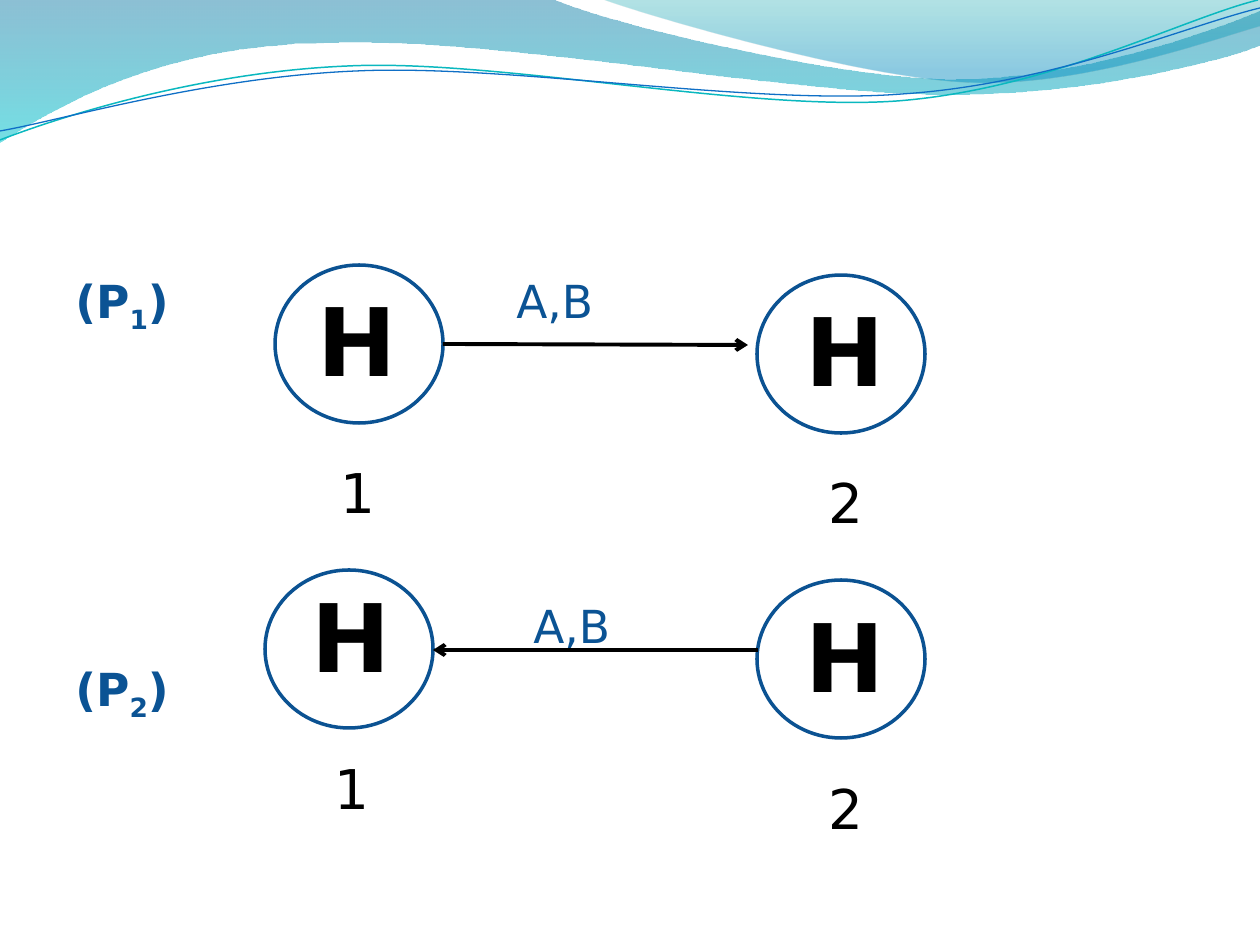
from lxml.etree import SubElement
from pptx import Presentation
from pptx.dml.color import RGBColor
from pptx.enum.shapes import MSO_CONNECTOR as Connector, MSO_SHAPE as Shape
from pptx.enum.text import PP_ALIGN as Align
from pptx.oxml.ns import qn
from pptx.util import Emu, Pt

PX = 914400 / 126
COLORS = {
    "text": "0B5394", "outline": "0B5292", "black": "000000",
    "teal line": "0AB8BF", "blue line": "0F6FC6",
    "deep blue": "0074A1", "turquoise": "00C6CF",
    "sea green": "00A1A9", "sky blue": "008BBF",
}
BODY = {"size": Pt(26), "color": "text"}
BOLD = {**BODY, "bold": True}
HOST = {"size": Pt(54), "color": "black", "bold": True}
NUMBER = {**HOST, "bold": False, "subscript": True}

# Outlines: a start point, then steps of one point (line) or three (curve).
BROAD_WAVE = [
    (0, 0), [(554, 0)],
    [(600, 21), (837, 79), (955, 79)], [(1075, 79), (1207, 33), (1260, 11)],
    [(1260, 45)],
    [(1239, 55), (1096, 96), (940, 94)], [(784, 94), (481, 35), (324, 43)],
    [(163, 45), (58, 105), (0, 142)],
]
RIGHT_WAVE = [
    (604, 0), [(641, 14), (859, 78), (969, 82)],
    [(1079, 87), (1211, 40), (1260, 26)], [(1260, 0)],
]
TEAL_CURVE = [
    (0, 140), [(60, 117), (199, 72), (349, 66)],
    [(498, 59), (747, 112), (898, 101)], [(1050, 89), (1182, 19), (1258, 0)],
]
BLUE_CURVE = [
    (0, 131), [(59, 121), (207, 77), (357, 71)],
    [(508, 64), (752, 106), (903, 94)], [(1053, 84), (1186, 26), (1260, 8)],
]


def px(*lengths):
    return [Emu(round(length * PX)) for length in lengths]


class SlideBuilder:
    """Holds the font and the current slide."""

    def __init__(self, slide, font="DejaVu Sans"):
        self.shapes = slide.shapes
        self.font = font

    def color(self, name):
        return RGBColor.from_string(COLORS[name])

    def stroke(self, shape, color, width):
        shape.line.color.rgb = self.color(color)
        shape.line.width = Pt(width)

    def freeform(self, outline, closed):
        """Draw an outline, joining each three-point step into one Bézier curve."""
        start, *steps = outline
        builder = self.shapes.build_freeform(*start, scale=PX)
        builder.add_line_segments([point for step in steps for point in step], close=closed)
        shape = builder.convert_to_shape()
        shape.shadow.inherit = False
        lines = iter(list(shape._element.iter(qn("a:lnTo"))))
        for step in steps:
            first, *others = [next(lines) for _ in step]
            if others:
                first.tag = qn("a:cubicBezTo")
            for line in others:
                first.append(line[0])
                line.getparent().remove(line)
        return shape

    def wave(self, outline, stops):
        """Fill an outline downwards; stops are (position, color, opacity %)."""
        shape = self.freeform(outline, True)
        shape.line.fill.background()
        shape.fill.gradient()
        shape.fill.gradient_angle = 270
        for stop, (position, color, _) in zip(shape.fill.gradient_stops, stops):
            stop.position = position
            stop.color.rgb = self.color(color)
        for element, (_, _, opacity) in zip(shape._element.iter(qn("a:srgbClr")), stops):
            SubElement(element, qn("a:alpha"), val=str(opacity * 1000))

    def curve(self, outline, color, width):
        shape = self.freeform(outline, False)
        shape.fill.background()
        self.stroke(shape, color, width)

    def circle(self, left, top):
        shape = self.shapes.add_shape(Shape.OVAL, *px(left, top, 168, 158))
        shape.shadow.inherit = False
        shape.fill.background()
        self.stroke(shape, "outline", 2)

    def arrow(self, *ends):
        connector = self.shapes.add_connector(Connector.STRAIGHT, *px(*ends))
        self.stroke(connector, "black", 2.25)
        properties = connector._element.spPr
        SubElement(properties.find(qn("a:ln")), qn("a:tailEnd"), type="arrow")
        SubElement(properties, qn("a:effectLst"))

    def text(self, box, paragraphs):
        """Add paragraphs, each a dict of formats and a list of (text, style)."""
        frame = self.shapes.add_textbox(*px(*box)).text_frame
        frame.word_wrap = True
        for index, (formats, runs) in enumerate(paragraphs):
            paragraph = frame.add_paragraph() if index else frame.paragraphs[0]
            for name, value in formats.items():
                setattr(paragraph, name, value)
            for content, style in runs:
                self.run(paragraph, content, style)
        return frame

    def run(self, paragraph, content, style):
        run = paragraph.add_run()
        run.text = content
        run.font.name = self.font
        run.font.color.rgb = self.color(style["color"])
        for name in ("size", "bold"):
            setattr(run.font, name, style.get(name))
        if style.get("subscript"):
            run._r.get_or_add_rPr().set("baseline", "-25000")

    def indent(self, paragraph, left=0, tab=None):
        properties = paragraph._p.get_or_add_pPr()
        properties.set("marL", str(px(left)[0]))
        if tab:
            tabs = SubElement(properties, qn("a:tabLst"))
            SubElement(tabs, qn("a:tab"), pos=str(px(tab)[0]), algn="l")


def label(number):
    return [("(P", BOLD), (number, {**BOLD, "subscript": True}), (")", BOLD)]


def main():
    presentation = Presentation()
    presentation.slide_width, presentation.slide_height = px(1260, 945)
    slide = presentation.slides.add_slide(presentation.slide_layouts[6])
    builder = SlideBuilder(slide)

    builder.wave(BROAD_WAVE, [(0, "deep blue", 45), (1, "turquoise", 55)])
    builder.wave(RIGHT_WAVE, [(0, "sea green", 30), (0.8, "sky blue", 45)])
    builder.curve(TEAL_CURVE, "teal line", 0.85)
    builder.curve(BLUE_CURVE, "blue line", 0.75)

    body = builder.text((63, 267, 1134, 605), [
        ({}, label("1") + [("\tA,B", BODY)]),
        ({"space_before": Pt(150)}, [("A,B", BODY)]),
        ({"space_before": Pt(5)}, label("2")),
    ])
    builder.indent(body.paragraphs[0], tab=441)
    builder.indent(body.paragraphs[1], left=458)

    for left, top in ((275, 265), (757, 275), (265, 570), (757, 580)):
        builder.circle(left, top)
    builder.arrow(443, 344, 748, 345)
    builder.arrow(758, 650, 433, 650)

    hosts = [("1", 295, 276, 125), ("2", 778, 286, 135),
             ("1", 289, 572, 125), ("2", 778, 592, 135)]
    for number, left, top, width in hosts:
        # The narrow box wraps the number below the letter.
        builder.text((left, top, width, 127), [
            ({"alignment": Align.CENTER}, [("H", HOST), (number, NUMBER)])])

    presentation.save("out.pptx")


if __name__ == "__main__":
    main()
